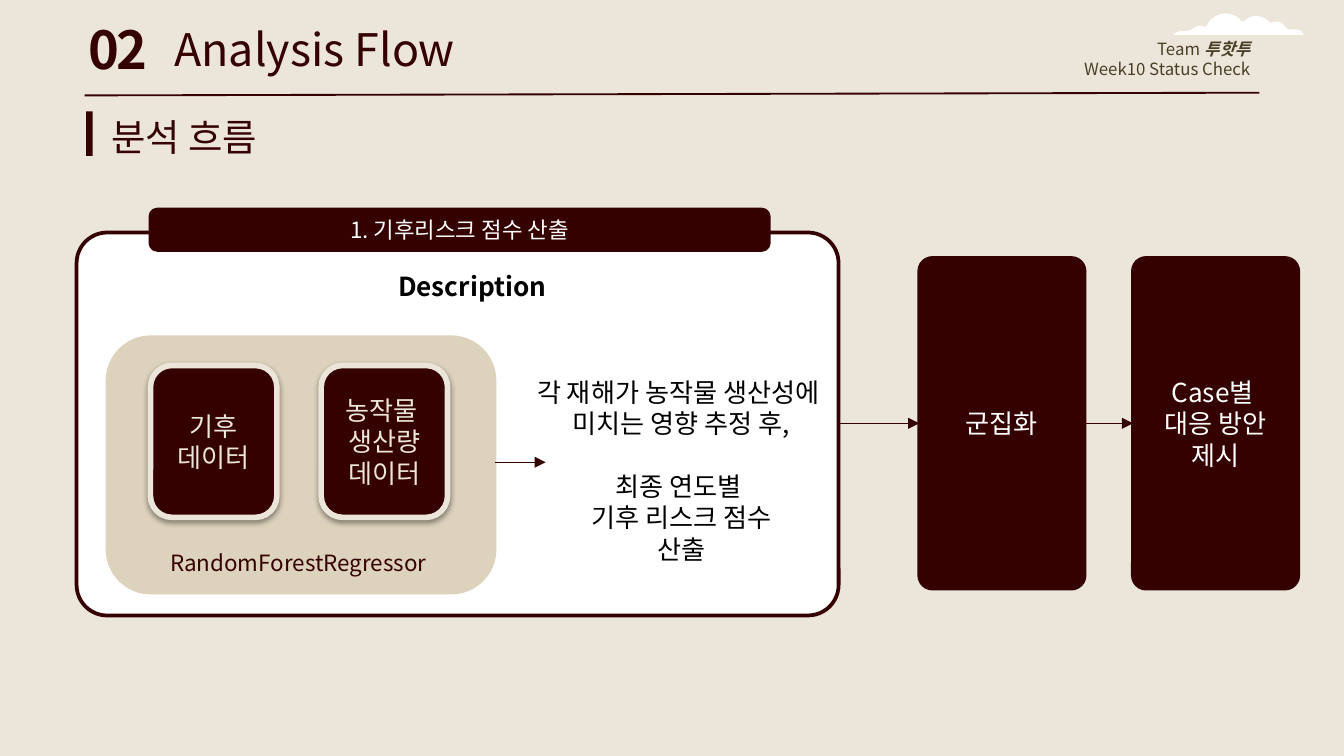
from dataclasses import dataclass
from typing import Optional

import pptx
import pptx.util
from pptx.dml.color import RGBColor
from pptx.enum.shapes import MSO_CONNECTOR, MSO_SHAPE
from pptx.enum.text import MSO_ANCHOR, PP_ALIGN
from pptx.oxml import parse_xml
from pptx.oxml.ns import nsdecls, qn
from pptx.oxml.xmlchemy import OxmlElement

PX = 9144  # 100 px to the inch
FONT = "Noto Sans CJK KR"
COLORS = {
    "bg": "ECE6DA", "maroon": "350000", "arrow": "340000", "sand": "DDD2BC",
    "olive": "4B3F27", "white": "FFFFFF", "black": "000000",
}
LEFT, CENTER, RIGHT = PP_ALIGN.LEFT, PP_ALIGN.CENTER, PP_ALIGN.RIGHT


@dataclass
class Run:
    text: str
    bold: bool = False
    italic: bool = False


@dataclass
class Text:
    lines: list[list[Run]]
    size: int
    color: str
    align: PP_ALIGN = CENTER
    gap_line: int = -1  # index of a line set off by one empty line's height
    tracking: float = 0


@dataclass
class Label:
    x: int
    y: int
    w: int
    h: int
    text: Text
    middle: bool = False


@dataclass
class Box:
    x: int
    y: int
    w: int
    h: int
    fill: str
    line: str = ""
    width: int = 2
    radius: Optional[float] = 0.17
    shadow: bool = False
    text: Optional[Text] = None


@dataclass
class Line:
    x1: int
    y1: int
    x2: int
    y2: int
    color: str = "arrow"
    width: float = 0.75
    arrow: bool = True


def rgb(name: str) -> RGBColor:
    return RGBColor.from_string(COLORS[name])


def plain(*lines: str, bold: bool = False) -> list[list[Run]]:
    return [[Run(line, bold)] for line in lines]


def write(tf, text: Text) -> None:
    tf.word_wrap = True
    for i, runs in enumerate(text.lines):
        p = tf.paragraphs[0] if i == 0 else tf.add_paragraph()
        p.alignment = text.align
        if i == text.gap_line:
            p.space_before = pptx.util.Pt(text.size * 1.2)
        for run in runs:
            r = p.add_run()
            r.text = run.text
            r.font.name = FONT
            r.font.size = pptx.util.Pt(text.size)
            r.font.bold, r.font.italic = run.bold, run.italic
            r.font.color.rgb = rgb(text.color)
            rpr = r.font._element
            ea = OxmlElement("a:ea")
            ea.set("typeface", FONT)
            rpr.append(ea)
            if text.tracking:
                rpr.set("spc", str(int(text.tracking * 100)))


def draw_label(s, label: Label) -> None:
    sp = s.shapes.add_textbox(label.x * PX, label.y * PX, label.w * PX, label.h * PX)
    tf = sp.text_frame
    if label.middle:
        tf.vertical_anchor = MSO_ANCHOR.MIDDLE
        tf.margin_top = tf.margin_bottom = 10 * PX
    write(tf, label.text)


def draw_box(s, box: Box) -> None:
    kind = MSO_SHAPE.RECTANGLE if box.radius is None else MSO_SHAPE.ROUNDED_RECTANGLE
    sp = s.shapes.add_shape(kind, box.x * PX, box.y * PX, box.w * PX, box.h * PX)
    if box.radius is not None:
        sp.adjustments[0] = box.radius
    sp.fill.solid()
    sp.fill.fore_color.rgb = rgb(box.fill)
    if box.line:
        sp.line.color.rgb = rgb(box.line)
        sp.line.width = pptx.util.Pt(box.width)
    else:
        sp.line.fill.background()
    sp.shadow.inherit = False
    if box.shadow:
        effects = sp._element.spPr.find(qn("a:effectLst"))
        effects.append(parse_xml(
            f'<a:outerShdw {nsdecls("a")} blurRad="39370" dist="20320" dir="5400000" rotWithShape="0">'
            f'<a:srgbClr val="{COLORS["black"]}"><a:alpha val="38000"/></a:srgbClr></a:outerShdw>'))
    if box.text:
        sp.text_frame.vertical_anchor = MSO_ANCHOR.MIDDLE
        write(sp.text_frame, box.text)


def draw_line(s, line: Line) -> None:
    sp = s.shapes.add_connector(
        MSO_CONNECTOR.STRAIGHT, line.x1 * PX, line.y1 * PX, line.x2 * PX, line.y2 * PX)
    sp.line.color.rgb = rgb(line.color)
    sp.line.width = pptx.util.Pt(line.width)
    if line.arrow:
        tail = OxmlElement("a:tailEnd")
        tail.set("type", "triangle")
        sp.line._get_or_add_ln().append(tail)
    sp._element.spPr.append(OxmlElement("a:effectLst"))


def draw_cloud(s, start: tuple, curves: list[tuple]) -> None:
    """Trace cubic curves, each given as two control points and an end."""
    points, (x0, y0) = [], start
    for x1, y1, x2, y2, x3, y3 in curves:
        for t in (0.2, 0.4, 0.6, 0.8, 1):
            k = ((1 - t) ** 3, 3 * t * (1 - t) ** 2, 3 * t * t * (1 - t), t ** 3)
            points.append((PX * (k[0] * x0 + k[1] * x1 + k[2] * x2 + k[3] * x3),
                           PX * (k[0] * y0 + k[1] * y1 + k[2] * y2 + k[3] * y3)))
        x0, y0 = x3, y3
    fb = s.shapes.build_freeform(start[0] * PX, start[1] * PX)
    fb.add_line_segments(points, close=True)
    sp = fb.convert_to_shape()
    sp.fill.solid()
    sp.fill.fore_color.rgb = rgb("white")
    sp.line.fill.background()
    sp.shadow.inherit = False


CLOUD = [
    (906, 10, 900, 14, 898, 19), (897, 20, 897, 20, 896, 20),
    (893, 18, 890, 20, 888, 21), (886, 23, 884, 23, 880, 23),
    (878, 23, 875, 24, 873, 26), (905, 26, 938, 26, 970, 26),
    (969, 23, 967, 22, 964, 22), (962, 22, 961, 22, 959, 22),
    (956, 21, 955, 16, 950, 16), (948, 16, 946, 18, 944, 16),
    (941, 13, 938, 12, 934, 12), (931, 12, 928, 13, 926, 16),
    (925, 16, 925, 16, 924, 16), (921, 12, 916, 10, 912, 10),
]

HEADER = [
    Label(684, 22, 256, 43, Text(
        [[Run("Team "), Run("투핫투", True, True)], [Run("Week10 Status Check")]],
        9, "olive", RIGHT), True),
    Label(56, 11, 68, 51, Text(plain("02", bold=True), 28, "maroon", LEFT, tracking=-1.5), True),
    Label(120, 15, 446, 43, Text(plain("Analysis Flow"), 24, "maroon", LEFT), True),
    Label(73, 80, 523, 43, Text(plain("분석 흐름"), 20, "maroon", LEFT), True),
]

PANELS = [
    Box(57, 173, 567, 285, "white", "maroon", radius=0.08),
    Box(112, 156, 460, 30, "maroon", "maroon",
        text=Text(plain("1. 기후리스크 점수 산출"), 12, "white")),
    Box(80, 251, 288, 190, "sand", "sand"),
]
STEPS = [
    Box(684 + 159 * i, 192, 123, 246, "maroon", "maroon", radius=0.08,
        text=Text(plain(*lines), 14, "white"))
    for i, lines in enumerate([["군집화"], ["Case별 ", "대응 방안", "제시"]])
]
INPUTS = [
    Box(112 + 127 * i, 272, 94, 113, "maroon", "bg", 3, shadow=True,
        text=Text(plain(*lines), 14, "bg"))
    for i, lines in enumerate([["기후", "데이터"], ["농작물 ", "생산량", "데이터"]])
]
ARROWS = [Line(624, 315, 684, 315), Line(807, 315, 843, 315), Line(368, 344, 406, 344)]
NOTES = [
    Label(106, 404, 232, 30, Text(plain("RandomForestRegressor"), 12, "maroon")),
    Label(379, 275, 256, 151, Text(
        plain("각 재해가 농작물 생산성에 ", "미치는 영향 추정 후,",
              "최종 연도별 ", "기후 리스크 점수", "산출"),
        14, "black", gap_line=2)),
    Label(90, 196, 523, 34, Text(plain("Description", bold=True), 14, "black")),
]


def main() -> None:
    prs = pptx.Presentation()
    prs.slide_width = 1000 * PX
    prs.slide_height = prs.slide_width * 9 // 16
    s = prs.slides.add_slide(prs.slide_layouts[6])
    s.background.fill.solid()
    s.background.fill.fore_color.rgb = rgb("bg")
    # Header
    draw_cloud(s, (912, 10), CLOUD)
    draw_line(s, Line(63, 71, 937, 69, "maroon", 1, False))
    draw_box(s, Box(64, 83, 5, 33, "maroon", radius=None))
    for label in HEADER:
        draw_label(s, label)
    # Flow
    for box in PANELS + STEPS + INPUTS:
        draw_box(s, box)
    for arrow in ARROWS:
        draw_line(s, arrow)
    for label in NOTES:
        draw_label(s, label)
    prs.save("out.pptx")


if __name__ == "__main__":
    main()
